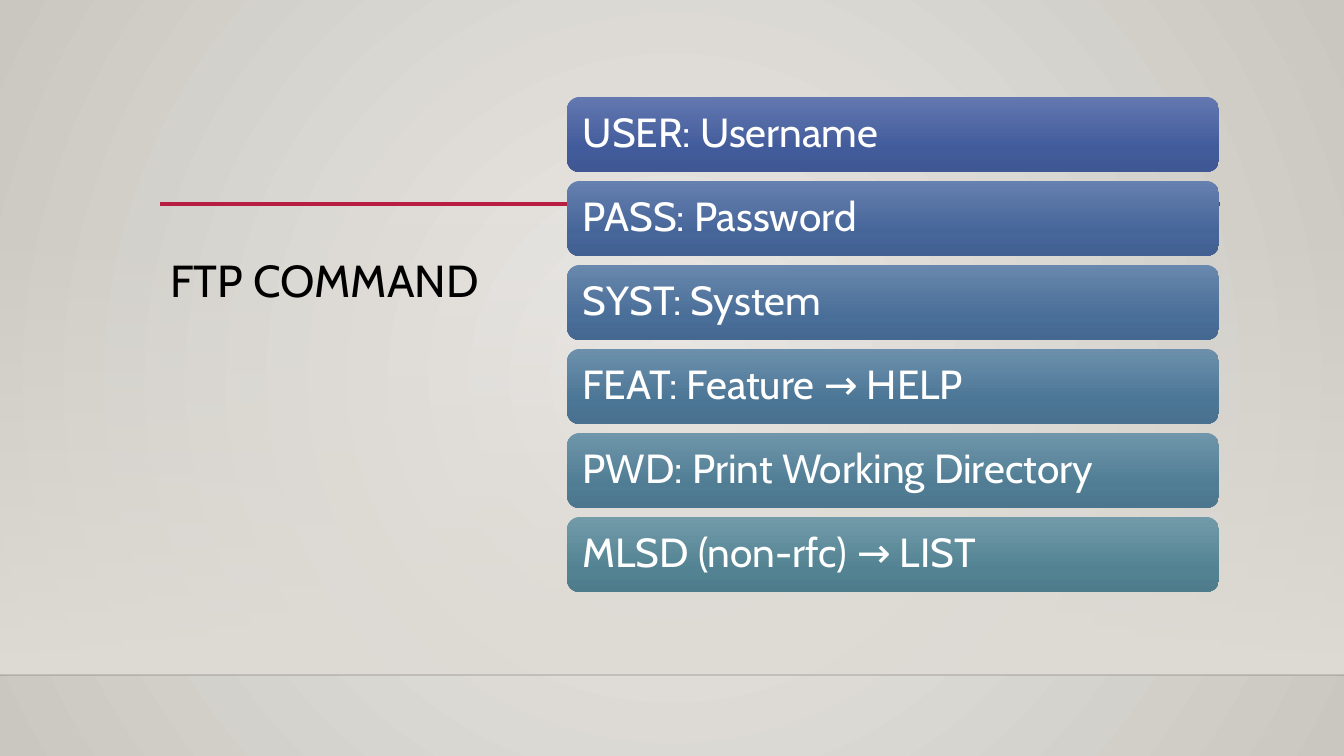
"""Build the FTP COMMAND slide: a title beside six stacked gradient bars."""
from lxml.etree import SubElement
from pptx import Presentation
from pptx.dml.color import RGBColor
from pptx.enum.shapes import MSO_CONNECTOR as CONNECTOR, MSO_SHAPE as SHAPE
from pptx.enum.text import MSO_ANCHOR as ANCHOR, PP_ALIGN as ALIGN
from pptx.oxml.ns import qn
from pptx.util import Pt

PX = 12192000 / 1344
FONT = "Cabin"
COLORS = {
    "glow": "ECEAE7", "edge": "CAC7C1", "panel": "DFDBD5", "accent": "B71E42",
    "base": "000001", "title": "000000", "bar_text": "FFFFFF",
}
COMMANDS = [
    ("USER: Username", "6378B0", "425B9B", "3F5793"),
    ("PASS: Password", "6680AF", "466599", "426091"),
    ("SYST: System", "6988AD", "496E98", "456890"),
    ("FEAT: Feature → HELP", "6C90AC", "4C7696", "49708E"),
    ("PWD: Print Working Directory", "6F96AB", "507D94", "4C768D"),
    ("MLSD (non-rfc) → LIST", "729BA9", "538393", "4F7C8B"),
]
BAR_LEFT, BAR_TOP, BAR_WIDTH, BAR_HEIGHT, BAR_STEP = 567, 97, 652, 75, 84


def set_gradient(fill, owner, stops, circular=False):
    """Fill the owner with (percent, colour, opacity) stops, downward or from the centre."""
    fill.gradient()
    gradient = next(owner.iter(qn("a:gradFill")))
    for child in list(gradient):
        gradient.remove(child)
    stop_list = SubElement(gradient, qn("a:gsLst"))
    for percent, color, opacity in stops:
        stop = SubElement(stop_list, qn("a:gs"), pos=str(percent * 1000))
        shade = SubElement(stop, qn("a:srgbClr"), val=color)
        if opacity < 100:
            SubElement(shade, qn("a:alpha"), val=str(opacity * 1000))
    if circular:
        direction = SubElement(gradient, qn("a:path"), path="circle")
        SubElement(direction, qn("a:fillToRect"), l="50000", t="50000", r="50000", b="50000")
    else:
        SubElement(gradient, qn("a:lin"), ang="5400000", scaled="0")


def set_text(shape, text, size, color, anchor):
    """Write one left-aligned line of text in the shape."""
    frame = shape.text_frame
    frame.text = text
    frame.word_wrap = True
    frame.vertical_anchor = anchor
    paragraph = frame.paragraphs[0]
    for name, value in {"alignment": ALIGN.LEFT, "line_spacing": 0.9}.items():
        setattr(paragraph, name, value)
    font = paragraph.runs[0].font
    for name, value in {"name": FONT, "size": Pt(size)}.items():
        setattr(font, name, value)
    font.color.rgb = RGBColor.from_string(color)


presentation = Presentation()
presentation.slide_width, presentation.slide_height = round(1344 * PX), round(756 * PX)
slide = presentation.slides.add_slide(presentation.slide_layouts[5])
shapes = slide.shapes

set_gradient(slide.background.fill, slide.element,
             [(0, COLORS["glow"], 100), (100, COLORS["edge"], 100)], circular=True)

panel = shapes.add_shape(SHAPE.RECTANGLE, 0, round(223 * PX), round(1344 * PX), round(452 * PX))
panel.shadow.inherit = False
panel.line.fill.background()
set_gradient(panel.fill, panel.element, [(0, COLORS["panel"], 0), (100, COLORS["panel"], 100)])

for left, right, y, color, width, opacity in [
    (0, 1344, 675, "base", 1, 20),
    (160, 1220, 204, "accent", 2.5, 100),
]:
    rule = shapes.add_connector(CONNECTOR.STRAIGHT, *(round(n * PX) for n in (left, y, right, y)))
    rule.line.width = Pt(width)
    rule.line.color.rgb = RGBColor.from_string(COLORS[color])
    if opacity < 100:
        shade = next(rule.element.iter(qn("a:srgbClr")))
        SubElement(shade, qn("a:alpha"), val=str(opacity * 1000))
    SubElement(rule.element.spPr, qn("a:effectLst"))

title = shapes.title
title.element.getparent().append(title.element)
for name, value in {"left": 160, "top": 254, "width": 361, "height": 294}.items():
    setattr(title, name, round(value * PX))
set_text(title, "FTP COMMAND", 32, COLORS["title"], ANCHOR.TOP)

for index, (command, top_color, middle_color, bottom_color) in enumerate(COMMANDS):
    box = (BAR_LEFT, BAR_TOP + index * BAR_STEP, BAR_WIDTH, BAR_HEIGHT)
    bar = shapes.add_shape(SHAPE.ROUNDED_RECTANGLE, *(round(n * PX) for n in box))
    bar.shadow.inherit = False
    bar.line.fill.background()
    set_gradient(bar.fill, bar.element,
                 [(0, top_color, 100), (69, middle_color, 100), (100, bottom_color, 100)])
    set_text(bar, command, 29, COLORS["bar_text"], ANCHOR.MIDDLE)
    for side in ("left", "right"):
        setattr(bar.text_frame, f"margin_{side}", round(12 * PX))

presentation.save("out.pptx")
